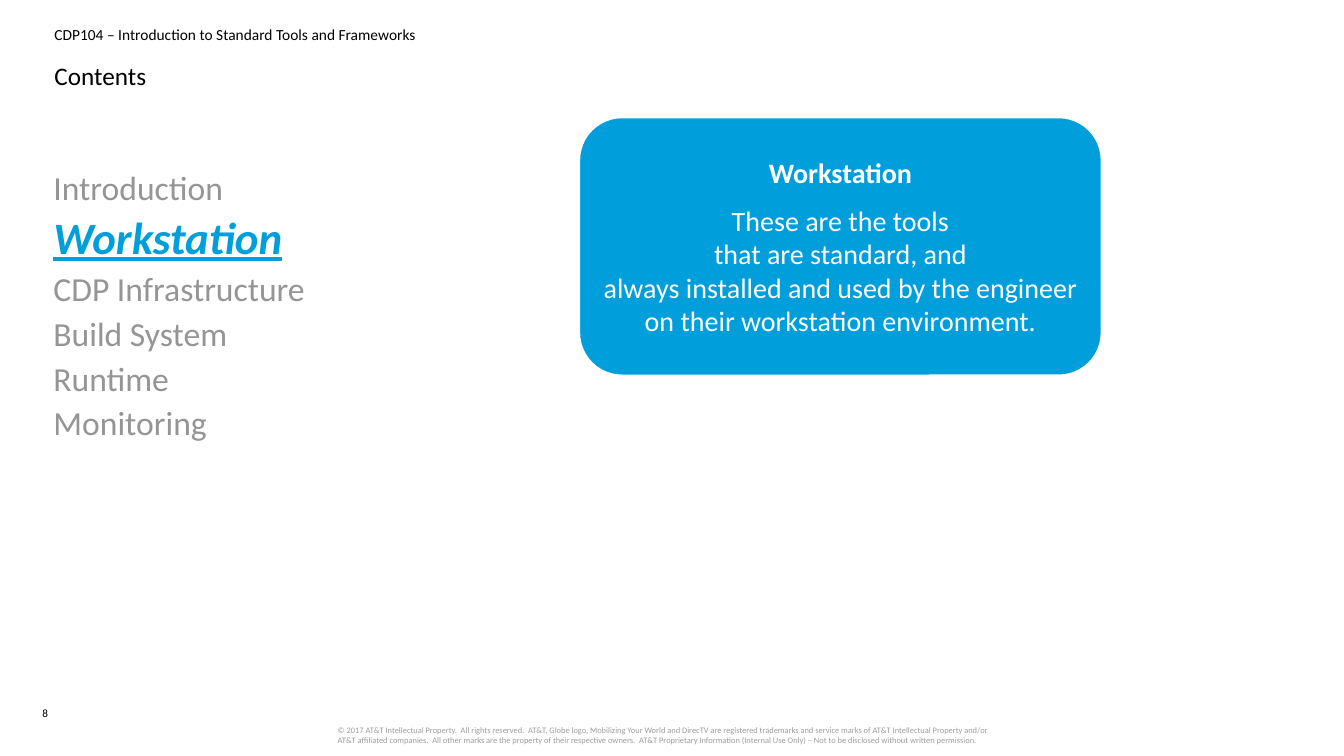
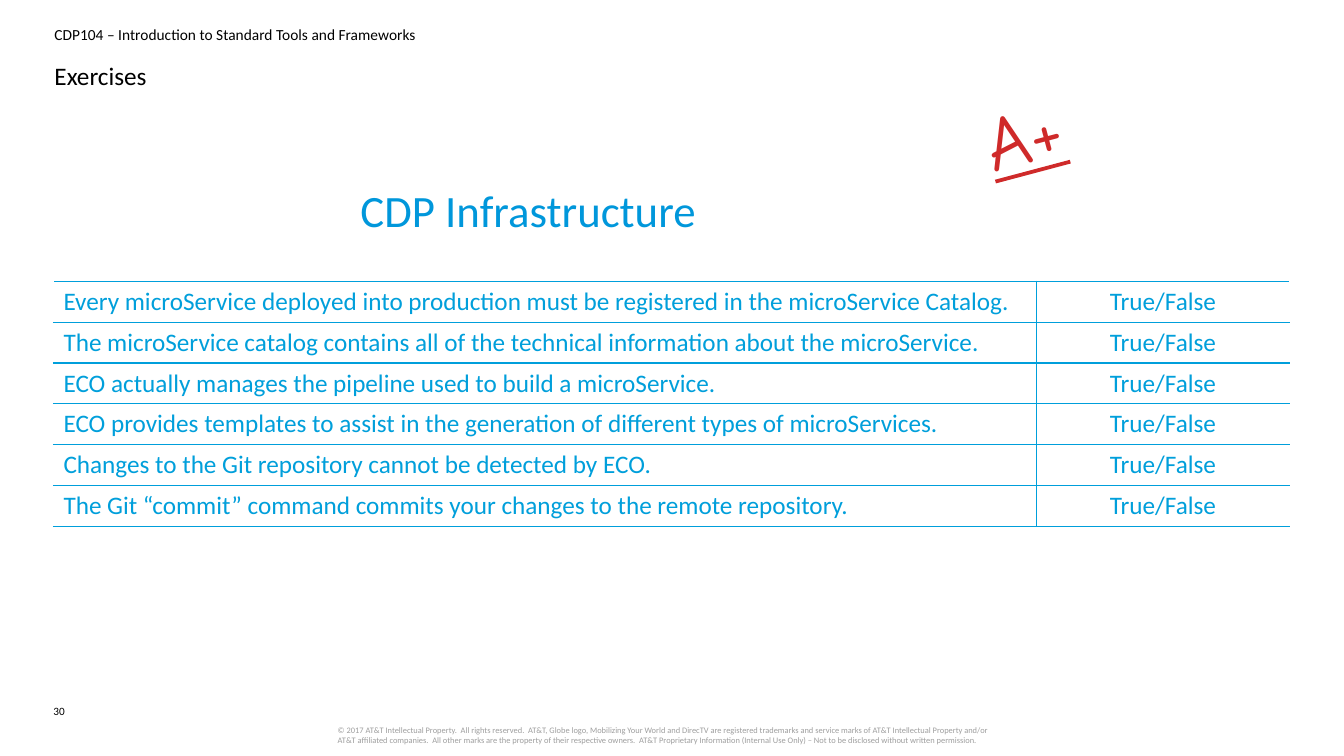
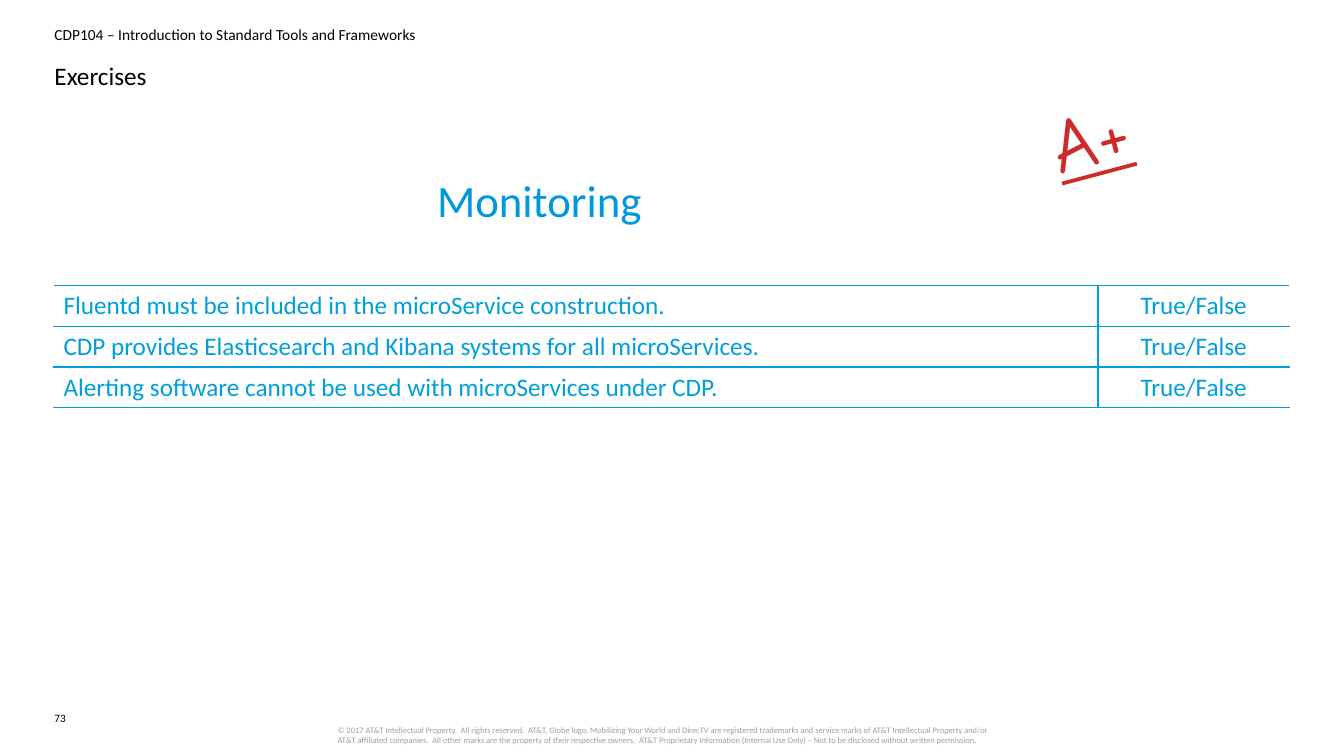
from dataclasses import dataclass

from lxml.etree import SubElement
from pptx import Presentation
from pptx.dml.color import RGBColor
from pptx.enum.shapes import MSO_SHAPE
from pptx.enum.text import MSO_ANCHOR, MSO_AUTO_SIZE, PP_ALIGN
from pptx.oxml.ns import qn
from pptx.util import Inches, Pt


@dataclass(frozen=True)
class Theme:
    font: str = "Calibri"
    hand: str = "Comic Neue"
    black: str = "000000"
    white: str = "FFFFFF"
    blue: str = "009FDB"
    deep: str = "0097DB"
    gray: str = "959595"
    pale: str = "9E9E9E"
    red: str = "CF2A2A"
    legal: int = 6
    page: int = 8
    banner: int = 11
    text: int = 18
    card: int = 20
    item: int = 24
    head: int = 32
    grade: int = 54


THEME = Theme()
LEFT, WIDE = 0.54, 12.26
BANNER = "CDP104 – Introduction to Standard Tools and Frameworks"
LEGAL = (
    "© 2017 AT&T Intellectual Property.  All rights reserved.  AT&T, Globe logo, "
    "Mobilizing Your World and DirecTV are registered trademarks and service marks of "
    "AT&T Intellectual Property and/or AT&T affiliated companies.  All other marks are "
    "the property of their respective owners.  AT&T Proprietary Information (Internal "
    "Use Only) – Not to be disclosed without written permission."
)
TOPICS = ["Introduction", "Workstation", "CDP Infrastructure",
          "Build System", "Runtime", "Monitoring"]
CARD = ["Workstation", "These are the tools", "that are standard, and",
        "always installed and used by the engineer", "on their workstation environment."]
INFRA = [
    "Every microService deployed into production must be registered in the microService Catalog.",
    "The microService catalog contains all of the technical information about the microService.",
    "ECO actually manages the pipeline used to build a microService.",
    "ECO provides templates to assist in the generation of different types of microServices.",
    "Changes to the Git repository cannot be detected by ECO.",
    "The Git “commit” command commits your changes to the remote repository.",
]
WATCH = [
    "Fluentd must be included in the microService construction.",
    "CDP provides Elasticsearch and Kibana systems for all microServices.",
    "Alerting software cannot be used with microServices under CDP.",
]


def style(para, size, color, face=THEME.font, align=PP_ALIGN.LEFT, bold=False):
    para.alignment = align
    para.space_before = Pt(0)
    for run in para.runs:
        font = run.font
        font.name, font.size, font.bold = face, Pt(size), bold
        font.color.rgb = RGBColor.from_string(color)


def place(shape, box):
    shape.left, shape.top, shape.width, shape.height = map(Inches, box)


def prepare(frame, margin=0.0, anchor=MSO_ANCHOR.TOP):
    frame.word_wrap = True
    frame.auto_size = MSO_AUTO_SIZE.NONE
    frame.vertical_anchor = anchor
    frame.margin_left = frame.margin_right = Inches(margin)
    frame.margin_top = frame.margin_bottom = Inches(margin)


def add_label(slide, box, text, size, color, **look):
    label = slide.shapes.add_textbox(*map(Inches, box))
    prepare(label.text_frame)
    label.text_frame.text = text
    style(label.text_frame.paragraphs[0], size, color, **look)
    return label


def add_bands(master, slide):
    """Write the banner and legal line on a slide, then move them to the master."""
    bands = [
        add_label(slide, (LEFT, 0.25, WIDE, 0.2), BANNER, THEME.banner, THEME.black),
        add_label(slide, (3.35, 7.19, 6.64, 0.24), LEGAL, THEME.legal, THEME.pale),
    ]
    for band in bands:
        master.shapes.element.append(band.element)


def add_slide(deck, layout, title, page, spot):
    slide = deck.slides.add_slide(deck.slide_layouts.get_by_name(layout))
    head = slide.shapes.title
    place(head, (LEFT, 0.57, WIDE, 0.37))
    prepare(head.text_frame)
    head.text_frame.text = title
    para = head.text_frame.paragraphs[0]
    para.line_spacing = 1.1
    style(para, THEME.text, THEME.black)
    number = add_label(slide, (*spot, 0.24, 0.25), page, THEME.page, THEME.black)
    number.text_frame.paragraphs[0].line_spacing = Pt(10)
    return slide


def add_topics(slide, box, topics, current):
    body = slide.placeholders[1]
    place(body, box)
    frame = body.text_frame
    prepare(frame)
    frame.text = "\n".join(topics)
    for para in frame.paragraphs:
        props = para._p.get_or_add_pPr()
        props.set("marL", "0")
        props.set("indent", "0")
        SubElement(props, qn("a:buNone"))
        para.line_spacing = 0.9
        para.space_after = Pt(6)
        if para.text == current:
            style(para, THEME.head, THEME.blue, bold=True)
            font = para.runs[0].font
            font.italic = font.underline = True
        else:
            style(para, THEME.item, THEME.gray)


def add_card(slide, box, lines):
    card = slide.shapes.add_shape(MSO_SHAPE.ROUNDED_RECTANGLE, *map(Inches, box))
    card.shadow.inherit = False
    card.fill.solid()
    card.fill.fore_color.rgb = RGBColor.from_string(THEME.blue)
    card.line.color.rgb = RGBColor.from_string(THEME.white)
    card.line.width = Pt(2)
    frame = card.text_frame
    prepare(frame, 0.08, MSO_ANCHOR.MIDDLE)
    frame.text = "\n".join(lines)
    for row, para in enumerate(frame.paragraphs):
        style(para, THEME.card, THEME.white, align=PP_ALIGN.CENTER, bold=row == 0)
    frame.paragraphs[1].space_before = Pt(10)


def add_edges(cell, sides):
    props = cell._tc.get_or_add_tcPr()
    for side in sides:
        edge = SubElement(props, qn(f"a:ln{side}"), w=str(Pt(1)))
        fill = SubElement(edge, qn("a:solidFill"))
        SubElement(fill, qn("a:srgbClr"), val=THEME.blue)


def add_quiz(slide, left, top, split, lines):
    """Table of statements, with an answer column starting at split."""
    step = 0.405
    table = slide.shapes.add_table(
        len(lines), 2, *map(Inches, (left, top, WIDE, step * len(lines)))).table
    table.first_row = table.horz_banding = False
    for column, width in zip(table.columns, (split, WIDE - split)):
        column.width = Inches(width)
    looks = [("RTB", PP_ALIGN.LEFT), ("LTB", PP_ALIGN.CENTER)]
    for row, line in enumerate(lines):
        for col, (text, (sides, align)) in enumerate(zip((line, "True/False"), looks)):
            cell = table.cell(row, col)
            add_edges(cell, sides)
            cell.fill.background()
            cell.text = text
            style(cell.text_frame.paragraphs[0], THEME.text, THEME.blue, align=align)


def add_grade(slide, left, top):
    grade = add_label(slide, (left, top, 1.26, 0.89), "A+", THEME.grade, THEME.red,
                      face=THEME.hand)
    grade.rotation = 345.1
    grade.text_frame.paragraphs[0].runs[0].font.underline = True


def add_contents(deck):
    slide = add_slide(deck, "Title and Content", "Contents", "8", (0.42, 7))
    add_topics(slide, (0.53, 1.7, 4.9, 4.81), TOPICS, "Workstation")
    add_card(slide, (5.74, 1.16, 5.19, 2.57), CARD)
    return slide


def add_exercise(deck, topic, box, page, spot, top, split, lines, mark):
    slide = add_slide(deck, "Title Only", "Exercises", page, spot)
    add_quiz(slide, 0.53, top, split, lines)
    head = add_label(slide, box, topic, THEME.head, THEME.deep, align=PP_ALIGN.CENTER)
    prepare(head.text_frame, 0.05)
    add_grade(slide, *mark)


def main():
    deck = Presentation()
    deck.slide_width, deck.slide_height = Inches(13.33), Inches(7.5)
    first = add_contents(deck)
    add_bands(deck.slide_master, first)
    add_exercise(deck, "CDP Infrastructure", (3.46, 1.76, 3.56, 0.64), "30",
                 (0.53, 6.98), 2.79, 9.75, INFRA, (9.75, 0.81))
    add_exercise(deck, "Monitoring", (4.17, 1.66, 2.36, 0.64), "73",
                 (0.54, 7.05), 2.83, 10.36, WATCH, (10.41, 0.83))
    deck.save("out.pptx")


if __name__ == "__main__":
    main()
